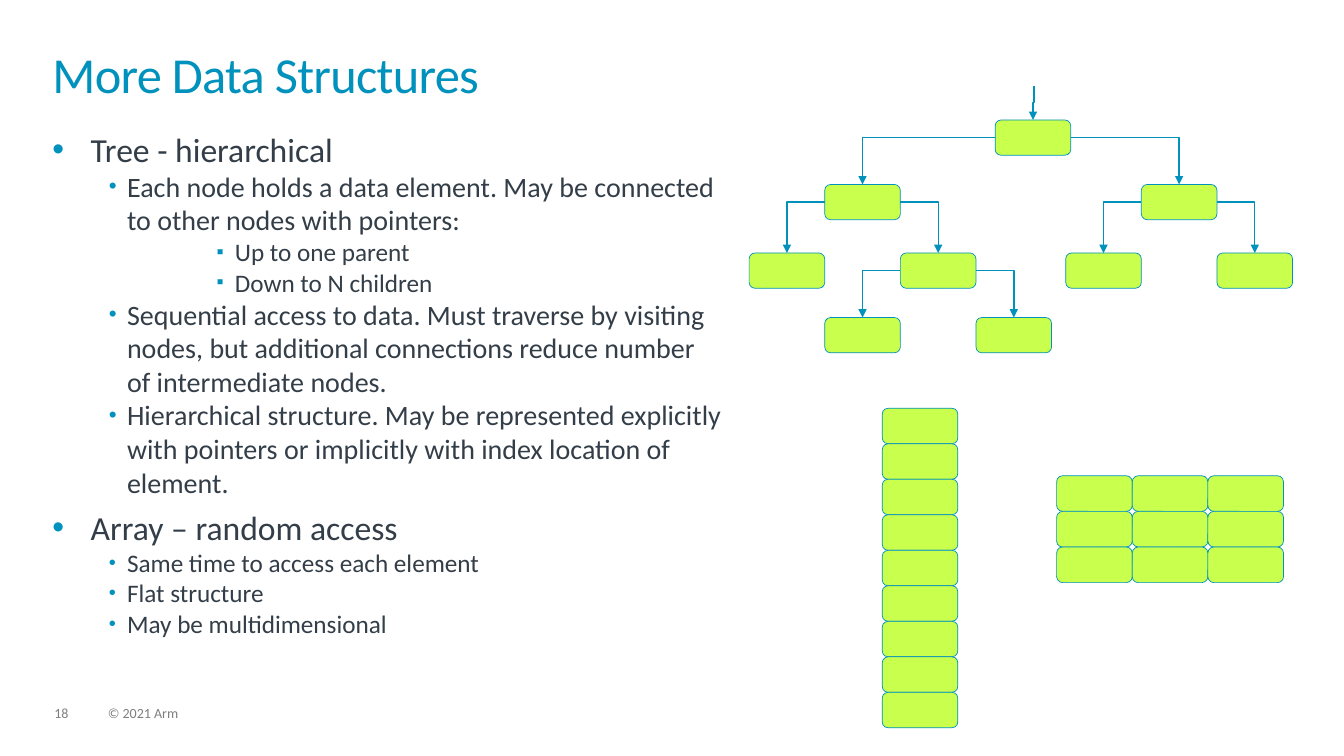
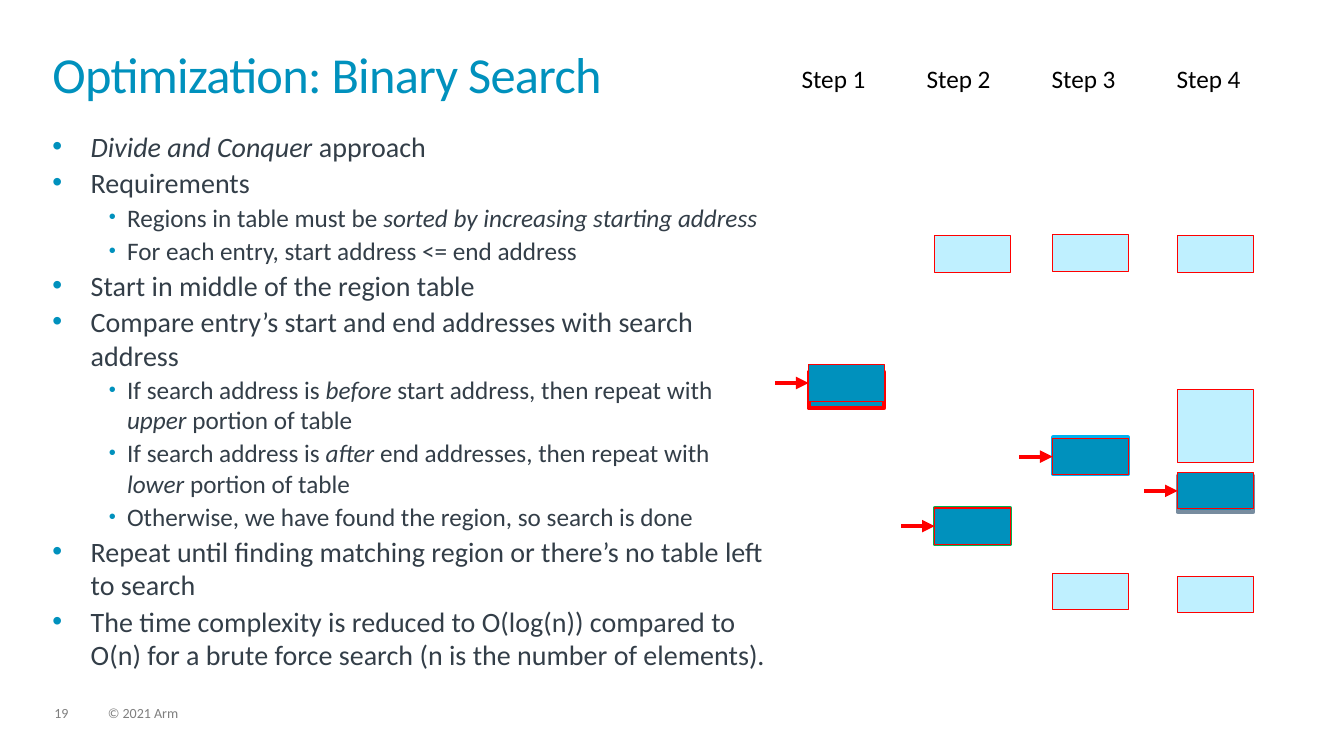
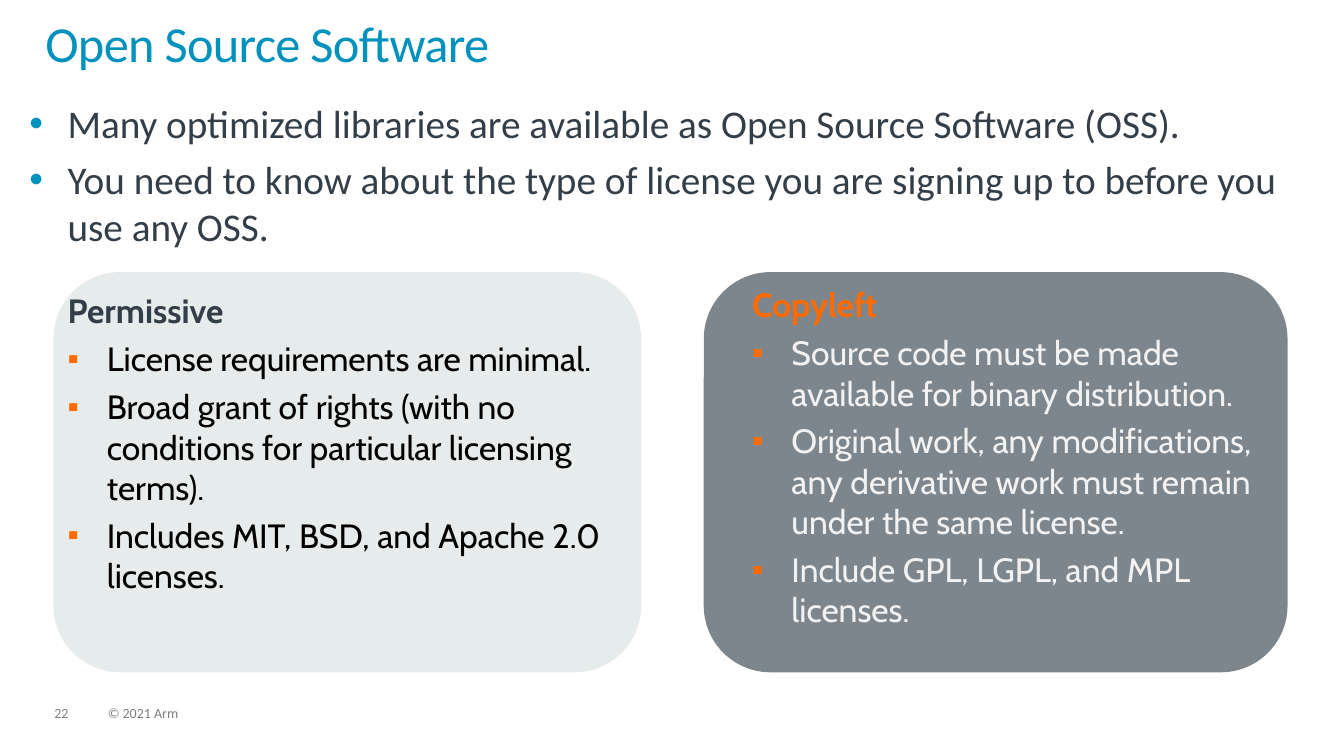
from dataclasses import dataclass, replace

from lxml import etree
from pptx import Presentation
from pptx.dml.color import RGBColor
from pptx.enum.shapes import MSO_CONNECTOR, MSO_SHAPE
from pptx.enum.text import MSO_ANCHOR, MSO_AUTO_SIZE, PP_ALIGN
from pptx.oxml.ns import qn
from pptx.util import Inches, Pt

RECT, ROUND_RECT = MSO_SHAPE.RECTANGLE, MSO_SHAPE.ROUNDED_RECTANGLE
STRAIGHT, ELBOW = MSO_CONNECTOR.STRAIGHT, MSO_CONNECTOR.ELBOW
TOP_ANCHOR, NO_FIT, LEFT_ALIGN = MSO_ANCHOR.TOP, MSO_AUTO_SIZE.NONE, PP_ALIGN.LEFT
TOP_SIDE, LEFT_SIDE, RIGHT_SIDE = 0, 1, 3

TITLE_ONLY = 5
TITLE_BOX = (0.52, 0.52, 12.28, 0.72)
COLORS = {
    "accent": "0091BD", "body": "333E48", "muted": "7F7F7F", "black": "000000",
    "node": "C9FF4D", "pale": "BFF0FF", "red": "FF0000", "green": "00B050",
    "sky": "00B0F0", "slate": "778C9F", "orange": "FF6B00", "mist": "E5ECEB",
    "steel": "7D868C", "light": "F2F2F2",
}


@dataclass(frozen=True)
class TextStyle:
    size: float
    color: str = "body"
    font: str = "Calibri"
    bold: bool = False
    before: float = 0
    line_spacing: float = 1.0
    tracking: int = 0
    bullet: str = ""
    bullet_color: str = "accent"
    bullet_size: int = 100
    margin: float = 0
    hang: float = 0


TITLE = TextStyle(36, "accent", line_spacing=0.85, tracking=-50)
FOOTER = TextStyle(10, "muted", line_spacing=0.9)
STEP_LABEL = TextStyle(18, "black")
TOPIC = TextStyle(24, before=6, bullet="•", margin=0.38, hang=0.38)
DETAIL = TextStyle(20, bullet="•", bullet_size=80, margin=0.74, hang=0.18)
SMALL_DETAIL = replace(DETAIL, size=18)
LEAF = replace(SMALL_DETAIL, bullet="▪", margin=1.81)
TIGHT_TOPIC = replace(TOPIC, size=20, before=2)
TIGHT_DETAIL = replace(SMALL_DETAIL, before=2)
LEAD = replace(TOPIC, size=28)
LICENSE_HEAD = TextStyle(24, font="Cabin", bold=True, before=5.4)
LICENSE_ITEM = replace(LICENSE_HEAD, bold=False, bullet="▪", bullet_color="orange",
                       bullet_size=95, margin=0.39, hang=0.39)


def rgb(name):
    return RGBColor.from_string(COLORS[name])


def add_bullet(paragraph, style):
    props = paragraph._p.get_or_add_pPr()
    props.set("marL", str(Inches(style.margin)))
    props.set("indent", str(-Inches(style.hang)))
    color = etree.SubElement(props, qn("a:buClr"))
    etree.SubElement(color, qn("a:srgbClr"), val=COLORS[style.bullet_color])
    etree.SubElement(props, qn("a:buSzPct"), val=str(style.bullet_size * 1000))
    etree.SubElement(props, qn("a:buFont"), typeface="Arial")
    etree.SubElement(props, qn("a:buChar"), char=style.bullet)


def fill_text(frame, paragraphs, wrap=True):
    """Write (style, text) pairs; words between asterisks are italic."""
    frame.margin_left = frame.margin_top = frame.margin_right = frame.margin_bottom = 0
    frame.word_wrap = wrap
    frame.auto_size = NO_FIT
    frame.vertical_anchor = TOP_ANCHOR
    for index, (style, text) in enumerate(paragraphs):
        paragraph = frame.add_paragraph() if index else frame.paragraphs[0]
        if style.bullet:
            add_bullet(paragraph, style)
        paragraph.alignment = LEFT_ALIGN
        paragraph.line_spacing = style.line_spacing
        paragraph.space_before = Pt(style.before if index else 0)
        for part, words in enumerate(text.split("*")):
            if not words:
                continue
            run = paragraph.add_run()
            run.text = words
            font = run.font
            font.name, font.size, font.bold = style.font, Pt(style.size), style.bold
            font.italic = part % 2 == 1
            font.color.rgb = rgb(style.color)
            if style.tracking:
                run._r.get_or_add_rPr().set("spc", str(style.tracking))


def add_text(slide, box, paragraphs, wrap=True):
    textbox = slide.shapes.add_textbox(*map(Inches, box))
    fill_text(textbox.text_frame, paragraphs, wrap)


def add_block(slide, preset, box, fill, line=None, width=0.5):
    block = slide.shapes.add_shape(preset, *map(Inches, box))
    block.shadow.inherit = False
    block.fill.solid()
    block.fill.fore_color.rgb = rgb(fill)
    if line:
        block.line.color.rgb = rgb(line)
        block.line.width = Pt(width)
    else:
        block.line.fill.background()
    return block


def add_arrow(slide, kind, start, end, color, width):
    arrow = slide.shapes.add_connector(kind, *map(Inches, (*start, *end)))
    arrow.line.color.rgb = rgb(color)
    arrow.line.width = Pt(width)
    etree.SubElement(arrow.line._get_or_add_ln(), qn("a:tailEnd"), type="triangle")
    etree.SubElement(arrow._element.spPr, qn("a:effectLst"))
    return arrow


def start_slide(deck, number, title, title_box=TITLE_BOX):
    """Add a slide with its title, number and copyright line."""
    slide = deck.slides.add_slide(deck.slide_layouts[TITLE_ONLY])
    heading = slide.shapes.title
    heading.left, heading.top, heading.width, heading.height = map(Inches, title_box)
    fill_text(heading.text_frame, [(TITLE, title)])
    add_text(slide, (0.54, 7.01, 0.34, 0.15), [(FOOTER, str(number))])
    add_text(slide, (1.07, 7.01, 5.07, 0.15), [(FOOTER, "© 2021 Arm")])
    return slide


NODE_W, NODE_H = 0.75, 0.35
LEVEL_DROPS = (0, 0.64, 1.32, 1.96)


def add_node(slide, left, top):
    return add_block(slide, ROUND_RECT, (left, top, NODE_W, NODE_H), "node", "accent")


def add_tree(slide, left, top, branches, level=0):
    """Draw a node and its branches, each (shift, side, sub-branches)."""
    node_top = top + LEVEL_DROPS[level]
    node = add_node(slide, left, node_top)
    for shift, side, below in branches:
        child = add_tree(slide, left + shift, top, below, level + 1)
        edge = add_arrow(slide, ELBOW, (left, node_top), (left + shift, node_top + 1),
                         "accent", 1)
        edge.begin_connect(node, side)
        edge.end_connect(child, TOP_SIDE)
        edge._element.spPr.find(qn("a:prstGeom")).set("prst", "bentConnector2")
    return node


def add_root_pointer(slide, center, length, jog):
    x, y = center
    pointer = add_arrow(slide, ELBOW, (x - length / 2, y - jog / 2),
                        (x + length / 2, y + jog / 2), "accent", 1)
    pointer._element.spPr.find(qn("a:xfrm")).set("rot", str(90 * 60000))


def add_array(slide, box, rows, columns):
    left, top, width, height = box
    cell_w, cell_h = width / columns, height / rows
    for column in range(columns):
        for row in range(rows):
            add_block(slide, ROUND_RECT,
                      (left + column * cell_w, top + row * cell_h, cell_w, cell_h),
                      "node", "accent")


def build_structures(deck):
    slide = start_slide(deck, 18, "More Data Structures")
    add_text(slide, (0.52, 1.28, 6.67, 5.41), [
        (TOPIC, "Tree - hierarchical"),
        (DETAIL, "Each node holds a data element. May be connected to other nodes "
                 "with pointers:"),
        (LEAF, "Up to one parent"),
        (LEAF, "Down to N children"),
        (DETAIL, "Sequential access to data. Must traverse by visiting nodes, but "
                 "additional connections reduce number of intermediate nodes."),
        (DETAIL, "Hierarchical structure. May be represented explicitly with pointers "
                 "or implicitly with index location of element."),
        (TOPIC, "Array – random access"),
        (SMALL_DETAIL, "Same time to access each element"),
        (SMALL_DETAIL, "Flat structure"),
        (SMALL_DETAIL, "May be multidimensional"),
    ])

    def pair(left_below=(), right_below=()):
        return ((-NODE_W, LEFT_SIDE, left_below), (NODE_W, RIGHT_SIDE, right_below))

    add_tree(slide, 9.87, 1.19, (
        (-1.69, LEFT_SIDE, pair(right_below=pair())),
        (1.45, RIGHT_SIDE, pair()),
    ))
    add_root_pointer(slide, (10.25, 1.02), 0.34, 0.01)
    add_array(slide, (8.75, 4.05, 0.75, 3.17), rows=9, columns=1)
    add_array(slide, (10.48, 4.72, 2.25, 1.06), rows=3, columns=3)


TILE_W, TILE_H = 0.75, 0.36
# column left, (top, height) of ruled-out parts, found top, frame top, frame colour
STEPS = [
    (8.02, [], 3.62, 3.69, "red"),
    (9.27, [(2.34, TILE_H)], 5.04, 5.04, "green"),
    (10.44, [(2.33, TILE_H), (5.69, TILE_H)], 4.35, 4.34, "sky"),
    (11.68, [(2.34, TILE_H), (3.86, 0.73), (5.72, TILE_H)], 4.69, 4.72, "slate"),
]


def add_step(slide, left, ruled_out, found_top, frame_top, frame_color):
    for top, height in ruled_out:
        add_block(slide, RECT, (left, top, TILE_W, height), "pale", "red", 0.75)
    add_block(slide, RECT, (left, frame_top, TILE_W, TILE_H), "accent", frame_color, 3)
    found = add_block(slide, RECT, (left, found_top, TILE_W, TILE_H),
                      "accent", "red", 0.75)
    middle = found_top + TILE_H / 2
    probe = add_arrow(slide, STRAIGHT, (left - 0.33, middle), (left, middle), "red", 3)
    probe.end_connect(found, LEFT_SIDE)


def build_search(deck):
    slide = start_slide(deck, 19, "Optimization: Binary Search")
    add_text(slide, (0.52, 1.28, 7.08, 5.41), [
        (TIGHT_TOPIC, "*Divide and Conquer *approach"),
        (TIGHT_TOPIC, "Requirements"),
        (TIGHT_DETAIL, "Regions in table must be *sorted by increasing starting address*"),
        (TIGHT_DETAIL, "For each entry, start address <= end address"),
        (TIGHT_TOPIC, "Start in middle of the region table"),
        (TIGHT_TOPIC, "Compare entry’s start and end addresses with search address"),
        (TIGHT_DETAIL, "If search address is *before *start address, then repeat with "
                       "*upper *portion of table"),
        (TIGHT_DETAIL, "If search address is *after *end addresses, then repeat with "
                       "*lower *portion of table"),
        (TIGHT_DETAIL, "Otherwise, we have found the region, so search is done"),
        (TIGHT_TOPIC, "Repeat until finding matching region or there’s no table left "
                      "to search"),
        (TIGHT_TOPIC, "The time complexity is reduced to O(log(n)) compared to O(n) "
                      "for a brute force search (n is the number of elements)."),
    ])
    for index, step in enumerate(STEPS):
        add_text(slide, (7.95 + index * 1.24, 0.63, 0.64, 0.3),
                 [(STEP_LABEL, f"Step {index + 1}")], wrap=False)
        add_step(slide, *step)


def add_license_panel(slide, box, fill, text_offset, text_width, head, head_color,
                      items, item_color):
    left, top, _, height = box
    shift_x, shift_y = text_offset
    add_block(slide, ROUND_RECT, box, fill)
    item_style = replace(LICENSE_ITEM, color=item_color)
    add_text(slide, (left + shift_x, top + shift_y, text_width, height - 2 * shift_y),
             [(replace(LICENSE_HEAD, color=head_color), head)]
             + [(item_style, item) for item in items])


def build_open_source(deck):
    slide = start_slide(deck, 22, "Open Source Software", (0.45, 0.21, 12.2, 0.63))
    add_text(slide, (0.29, 0.99, 12.99, 1.57), [
        (LEAD, "Many optimized libraries are available as Open Source Software (OSS)."),
        (LEAD, "You need to know about the type of license you are signing up to "
               "before you use any OSS."),
    ])
    add_license_panel(slide, (0.53, 2.7, 5.83, 3.97), "mist", (0.14, 0.18), 5.44,
                      "Permissive", "body", [
                          "License requirements are minimal.",
                          "Broad grant of rights (with no conditions for particular "
                          "licensing terms).",
                          "Includes MIT, BSD, and Apache 2.0 licenses.",
                      ], "black")
    add_license_panel(slide, (6.98, 2.7, 5.79, 3.97), "steel", (0.48, 0.12), 5.02,
                      "Copyleft", "orange", [
                          "Source code must be made available for binary distribution.",
                          "Original work, any modifications, any derivative work must "
                          "remain under the same license.",
                          "Include GPL, LGPL, and MPL licenses.",
                      ], "light")


def main():
    deck = Presentation()
    deck.slide_width, deck.slide_height = Inches(13.33), Inches(7.5)
    build_structures(deck)
    build_search(deck)
    build_open_source(deck)
    deck.save("out.pptx")


if __name__ == "__main__":
    main()
